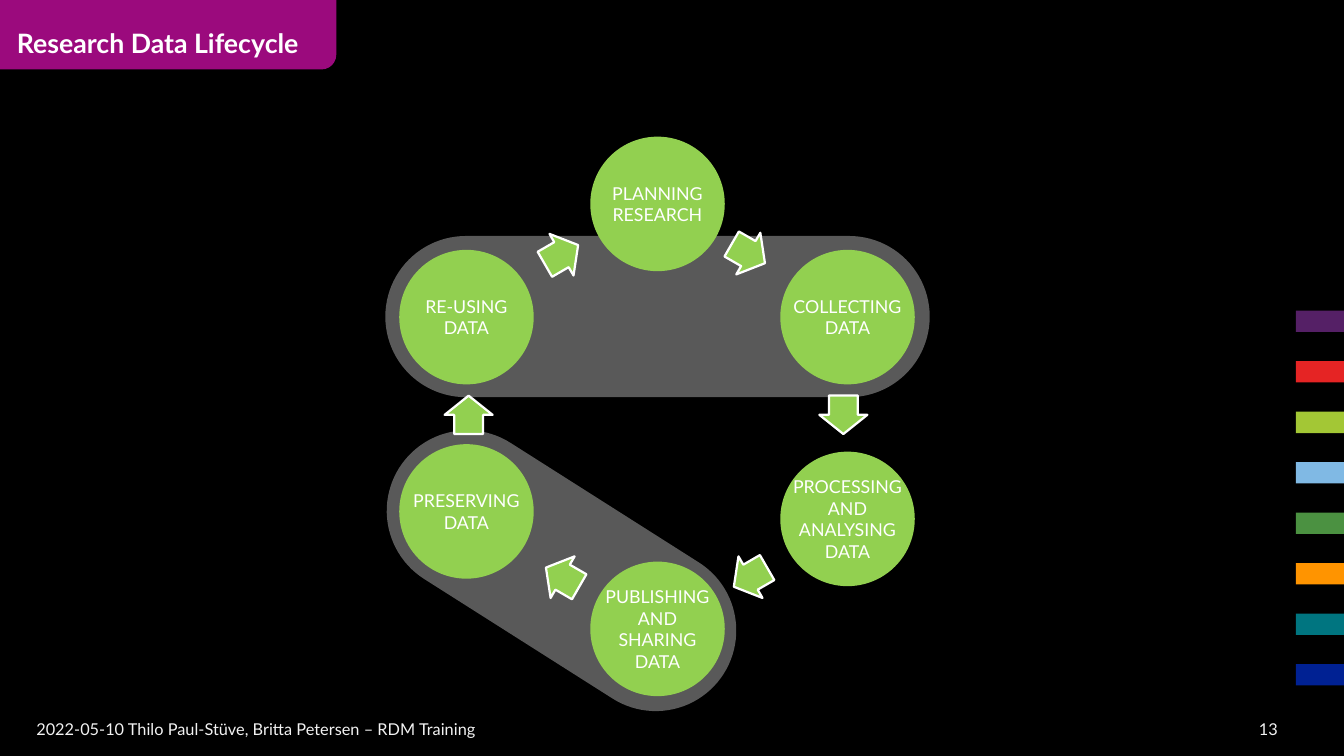
import pptx
import pptx.dml.color
import pptx.enum.shapes
import pptx.enum.text
import pptx.oxml.ns
import pptx.util
from lxml import etree

Inches = pptx.util.Inches
RGBColor = pptx.dml.color.RGBColor
Shape = pptx.enum.shapes.MSO_SHAPE
Align = pptx.enum.text.PP_ALIGN
Anchor = pptx.enum.text.MSO_ANCHOR

BLACK = RGBColor(0x00, 0x00, 0x00)
WHITE = RGBColor(0xFF, 0xFF, 0xFF)
PALE = RGBColor(0xF2, 0xF2, 0xF2)
GREEN = RGBColor(0x92, 0xD0, 0x50)
MAGENTA = RGBColor(0x9B, 0x0A, 0x7D)
STRIPES = [
    RGBColor(0x55, 0x20, 0x66), RGBColor(0xE5, 0x24, 0x24),
    RGBColor(0xA3, 0xC7, 0x35), RGBColor(0x80, 0xB9, 0xE4),
    RGBColor(0x4B, 0x91, 0x41), RGBColor(0xFF, 0x94, 0x00),
    RGBColor(0x00, 0x75, 0x80), RGBColor(0x00, 0x21, 0x93),
]


class LifecycleSlide:
    """Holds the text style and the slide being built."""

    FONT = "Lato"

    def __init__(self, deck):
        self.slide = deck.slides.add_slide(deck.slide_layouts[6])
        self.slide.background.fill.solid()
        self.slide.background.fill.fore_color.rgb = BLACK

    def fill_text(self, frame, text, size, color, inset, align=Align.LEFT,
                  anchor=Anchor.MIDDLE, wrap=True, bold=False):
        sides = ("left", "top", "right", "bottom")
        frame_format = {f"margin_{side}": Inches(gap) for side, gap in zip(sides, inset)}
        frame_format.update(word_wrap=wrap, vertical_anchor=anchor)
        font_format = {"name": self.FONT, "size": pptx.util.Pt(size), "bold": bold}
        paragraph = frame.paragraphs[0]
        paragraph.text = text
        paragraph.alignment = align
        for run in paragraph.runs:
            run.font.color.rgb = color
            for name, value in font_format.items():
                setattr(run.font, name, value)
        for name, value in frame_format.items():
            setattr(frame, name, value)

    def label(self, box, text, size, color, inset=(0, 0, 0, 0), **layout):
        label = self.slide.shapes.add_textbox(*map(Inches, box))
        self.fill_text(label.text_frame, text, size, color, inset, **layout)

    def block(self, kind, box, color, adjustments=(), rotation=0):
        block = self.slide.shapes.add_shape(kind, *map(Inches, box))
        block.shadow.inherit = False
        block.fill.solid()
        block.fill.fore_color.rgb = color
        block.line.fill.background()
        block.rotation = rotation
        for index, value in enumerate(adjustments):
            block.adjustments[index] = value
        return block

    def capsule(self, box, rotation=0):
        capsule = self.block(Shape.ROUNDED_RECTANGLE, box, WHITE, [0.5], rotation)
        tint = capsule.element.spPr.find(".//" + pptx.oxml.ns.qn("a:srgbClr"))
        etree.SubElement(tint, pptx.oxml.ns.qn("a:alpha"), val="35000")

    def stage(self, left, top, text):
        stage = self.block(Shape.OVAL, (left, top, 1.26, 1.26), GREEN)
        self.fill_text(stage.text_frame, text, 12, WHITE, (0.02,) * 4,
                       align=Align.CENTER, wrap=False)

    def arrow(self, left, top, rotation):
        arrow = self.block(Shape.RIGHT_ARROW, (left, top, 0.36, 0.45), GREEN,
                           [0.6, 0.5], rotation)
        arrow.line.color.rgb = WHITE
        arrow.line.width = pptx.util.Pt(1.5)


def main():
    deck = pptx.Presentation()
    deck.slide_width, deck.slide_height = Inches(12.59), Inches(7.08)
    page = LifecycleSlide(deck)

    # Footer and colour stripes at the right edge
    page.label((0.34, 6.73, 8.81, 0.19),
               "2022-05-10 Thilo Paul-Stüve, Britta Petersen – RDM Training",
               11, PALE, anchor=Anchor.BOTTOM)
    for index, color in enumerate(STRIPES):
        page.block(Shape.RECTANGLE, (12.14, 2.91 + index * 3.31 / 7, 0.47, 0.2), color)

    # Capsules linking related stages
    page.capsule((3.61, 2.21, 5.1, 1.51))
    page.capsule((3.46, 4.59, 3.6, 1.51), 32.4)

    # Slide number
    page.label((9.03, 6.73, 2.94, 0.19), "13", 11, PALE, align=Align.RIGHT)

    # Stages, clockwise from the top
    west, middle, east = 3.74, 5.53, 7.31
    for left, top, text in [
        (middle, 1.28, "PLANNING\nRESEARCH"),
        (east, 2.34, "COLLECTING\nDATA"),
        (east, 4.23, "PROCESSING\nAND\nANALYSING\nDATA"),
        (middle, 5.26, "PUBLISHING\nAND\nSHARING\nDATA"),
        (west, 4.16, "PRESERVING\nDATA"),
        (west, 2.34, "RE-USING\nDATA"),
    ]:
        page.stage(left, top, text)

    # Arrows between stages, turning 60 degrees each time
    for step, (left, top) in enumerate([
        (6.83, 2.15), (7.72, 3.66), (6.85, 5.18),
        (5.09, 5.18), (4.21, 3.66), (5.08, 2.16),
    ]):
        page.arrow(left, top, 30 + 60 * step)

    # Title tab
    page.block(Shape.ROUNDED_RECTANGLE, (-0.2, -0.17, 3.35, 0.82), MAGENTA, [0.167])
    page.label((0.06, -0.05, 3.4, 0.91), "Research Data Lifecycle", 18, WHITE,
               inset=(0.1, 0.05, 0.1, 0.05), bold=True)

    deck.save("out.pptx")


if __name__ == "__main__":
    main()
